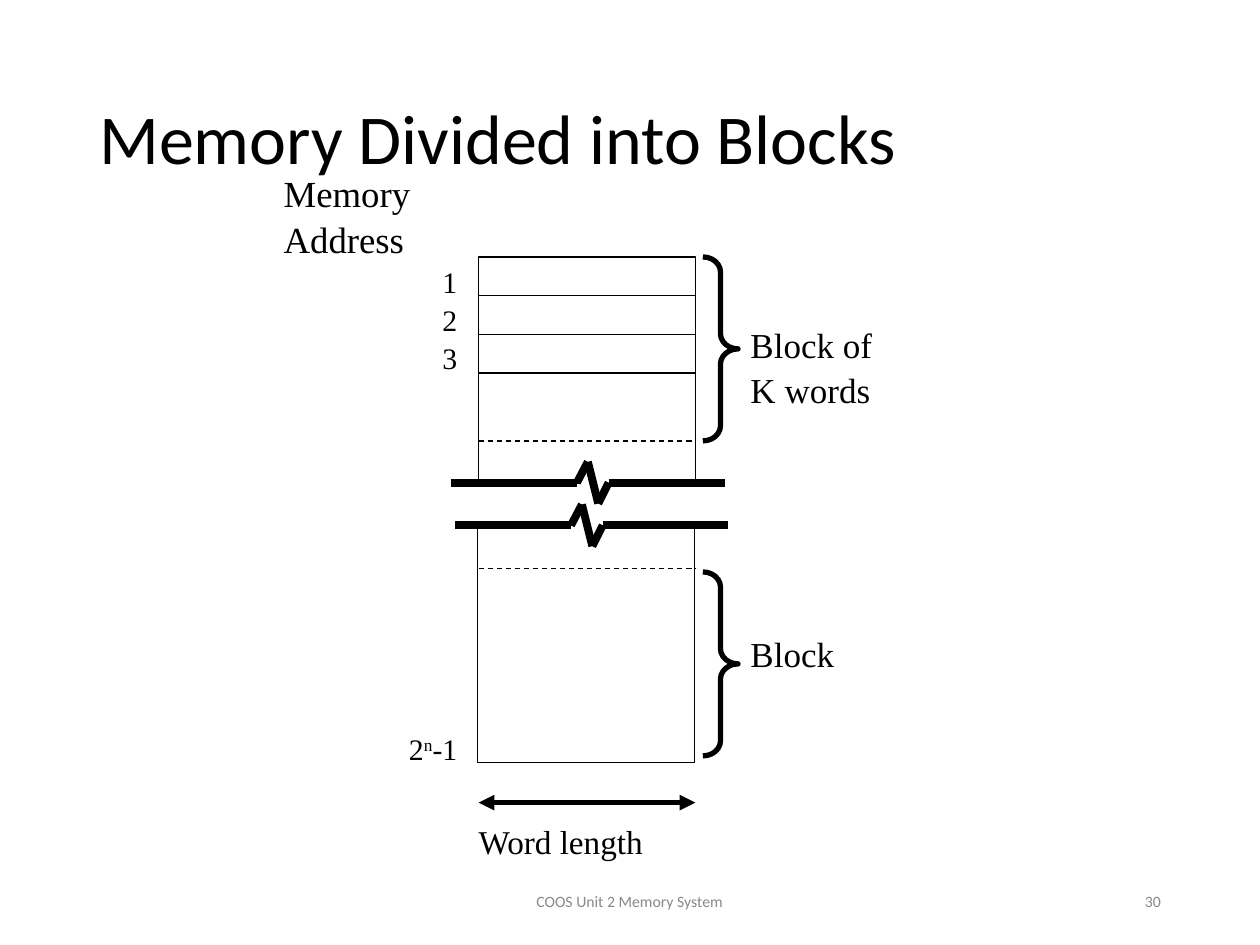
import itertools
from dataclasses import dataclass

import pptx
import pptx.dml.color
import pptx.enum.dml
import pptx.enum.shapes
import pptx.enum.text
import pptx.oxml
import pptx.oxml.ns
import pptx.util

Cm, Pt = pptx.util.Cm, pptx.util.Pt
RGB = pptx.dml.color.RGBColor
SHAPE = pptx.enum.shapes.MSO_SHAPE
ALIGN = pptx.enum.text.PP_ALIGN
ANCHOR = pptx.enum.text.MSO_ANCHOR


@dataclass(frozen=True)
class Theme:
    ink: RGB = RGB(0, 0, 0)
    paper: RGB = RGB(255, 255, 255)
    grey: RGB = RGB(0x89, 0x89, 0x89)
    sans: str = "Calibri"
    serif: str = "Times New Roman"
    title: int = 40
    heading: int = 21
    block: int = 20
    caption: int = 19
    address: int = 17
    footer: int = 9
    thin: float = 0.75
    bold: float = 3
    heavy: float = 4.5


theme = Theme()
prs = pptx.Presentation()
prs.slide_width, prs.slide_height = Cm(25.4), Cm(19.05)
s = prs.slides.add_slide(prs.slide_layouts[5])


def line(x1, y1, x2, y2, width, dashed=False, arrows=False):
    cx = s.shapes.add_connector(pptx.enum.shapes.MSO_CONNECTOR.STRAIGHT,
                                Cm(x1), Cm(y1), Cm(x2), Cm(y2))
    cx.line.color.rgb = theme.ink
    cx.line.width = Pt(width)
    if dashed:
        cx.line.dash_style = pptx.enum.dml.MSO_LINE.DASH
    if arrows:
        for end in ("a:headEnd", "a:tailEnd"):
            pptx.oxml.ns.qn(end)
            cx.line._get_or_add_ln().append(pptx.oxml.parse_xml(
                f'<{end} {pptx.oxml.ns.nsdecls("a")} type="triangle"/>'))
    cx._element.spPr.append(pptx.oxml.parse_xml(
        f'<a:effectLst {pptx.oxml.ns.nsdecls("a")}/>'))


def label(x, y, w, h, lines, size, font=theme.serif, color=theme.ink,
          align=ALIGN.LEFT, anchor=ANCHOR.TOP, inset=(0, 0), spacing=1.06):
    """Add one paragraph per line; text between carets is superscript."""
    tf = s.shapes.add_textbox(Cm(x), Cm(y), Cm(w), Cm(h)).text_frame
    tf.word_wrap = True
    tf.vertical_anchor = anchor
    tf.margin_left = tf.margin_right = Cm(inset[0])
    tf.margin_top = tf.margin_bottom = Cm(inset[1])
    for i, text in enumerate(lines):
        p = tf.add_paragraph() if i else tf.paragraphs[0]
        p.alignment = align
        p.line_spacing = spacing
        for j, part in enumerate(text.split("^")):
            r = p.add_run()
            r.text = part
            r.font.name, r.font.size = font, Pt(size)
            r.font.color.rgb = color
            if j % 2:
                r.font._element.set("baseline", "30000")


# Title
title = s.shapes.title
title.left, title.top, title.width, title.height = Cm(1.75), Cm(1.02), Cm(21.92), Cm(3.68)
tf = title.text_frame
tf.auto_size = pptx.enum.text.MSO_AUTO_SIZE.NONE
tf.vertical_anchor = ANCHOR.MIDDLE
p = tf.paragraphs[0]
p.alignment = ALIGN.LEFT
p.line_spacing = 0.9
r = p.add_run()
r.text = "Memory Divided into Blocks"
r.font.name, r.font.size = theme.sans, Pt(theme.title)
r.font.color.rgb = theme.ink

# Memory column: lower and upper part, word rows, block limits
left, width, top = 9.65, 4.37, 5.18
right = left + width
for x, y, h in ((9.63, 10.59, 4.78), (left, top, 4.57)):
    sp = s.shapes.add_shape(SHAPE.RECTANGLE, Cm(x), Cm(y), Cm(width), Cm(h))
    sp.shadow.inherit = False
    sp.fill.solid()
    sp.fill.fore_color.rgb = theme.paper
    sp.line.color.rgb = theme.ink
    sp.line.width = Pt(theme.thin)
for row in range(1, 4):
    y = top + row * 0.78
    line(left, y, right, y, theme.thin)
for y in (8.89, 11.46):
    line(left, y, right, y, theme.thin, dashed=True)

# Braces around the first and the last block
for y in (top, 11.53):
    sp = s.shapes.add_shape(SHAPE.RIGHT_BRACE, Cm(14.17), Cm(y), Cm(0.71), Cm(3.71))
    sp.adjustments[0] = 0.43
    sp.shadow.inherit = False
    sp.fill.background()
    sp.line.color.rgb = theme.ink
    sp.line.width = Pt(theme.bold)

# Break marks: start, zigzag start, end, height, top of the white masks
for x1, zig, x2, y, mask in ((9.09, 11.63, 14.61, 9.73, 9.45),
                             (9.17, 11.51, 14.68, 10.59, 10.16)):
    for dx, dy, turn in ((-0.05, 0, 0), (0.26, 0.08, 180)):
        sp = s.shapes.add_shape(SHAPE.ISOSCELES_TRIANGLE, Cm(zig + dx), Cm(mask + dy),
                                Cm(0.43), Cm(0.64))
        sp.rotation = turn
        sp.shadow.inherit = False
        sp.fill.solid()
        sp.fill.fore_color.rgb = theme.paper
        sp.line.fill.background()
    points = ((x1, y), (zig, y), (zig + 0.22, y - 0.42),
              (zig + 0.43, y + 0.42), (zig + 0.64, y), (x2, y))
    for start, end in itertools.pairwise(points):
        line(*start, *end, theme.heavy)

# Word length
line(right, 16.18, left, 16.18, theme.bold, arrows=True)
label(left, 16.56, 3.94, 0.79, ["Word length"], theme.caption, spacing=1)

# Labels
box_inset = (0.25, 0.13)
label(14.88, 6.35, 4.37, 1.96, ["Block of", "K words"], theme.block, inset=box_inset)
label(14.88, 12.57, 3.51, 1.17, ["Block"], theme.block, inset=box_inset)
label(5.72, 3.38, 4.37, 1.96, ["Memory Address"], theme.heading)
label(7.04, 5.28, 2.18, 2.2, ["1", "2", "3"], theme.address, align=ALIGN.RIGHT)
label(7.04, 14.68, 2.18, 0.8, ["2^n^-1"], theme.address, align=ALIGN.RIGHT)

# Footer and slide number
for x, w, text, align in ((8.41, 8.56, "COOS Unit 2 Memory System", ALIGN.CENTER),
                          (17.93, 5.72, "30", ALIGN.RIGHT)):
    label(x, 17.65, w, 1.02, [text], theme.footer, theme.sans, theme.grey,
          align, ANCHOR.MIDDLE, box_inset, spacing=1)

prs.save("out.pptx")
